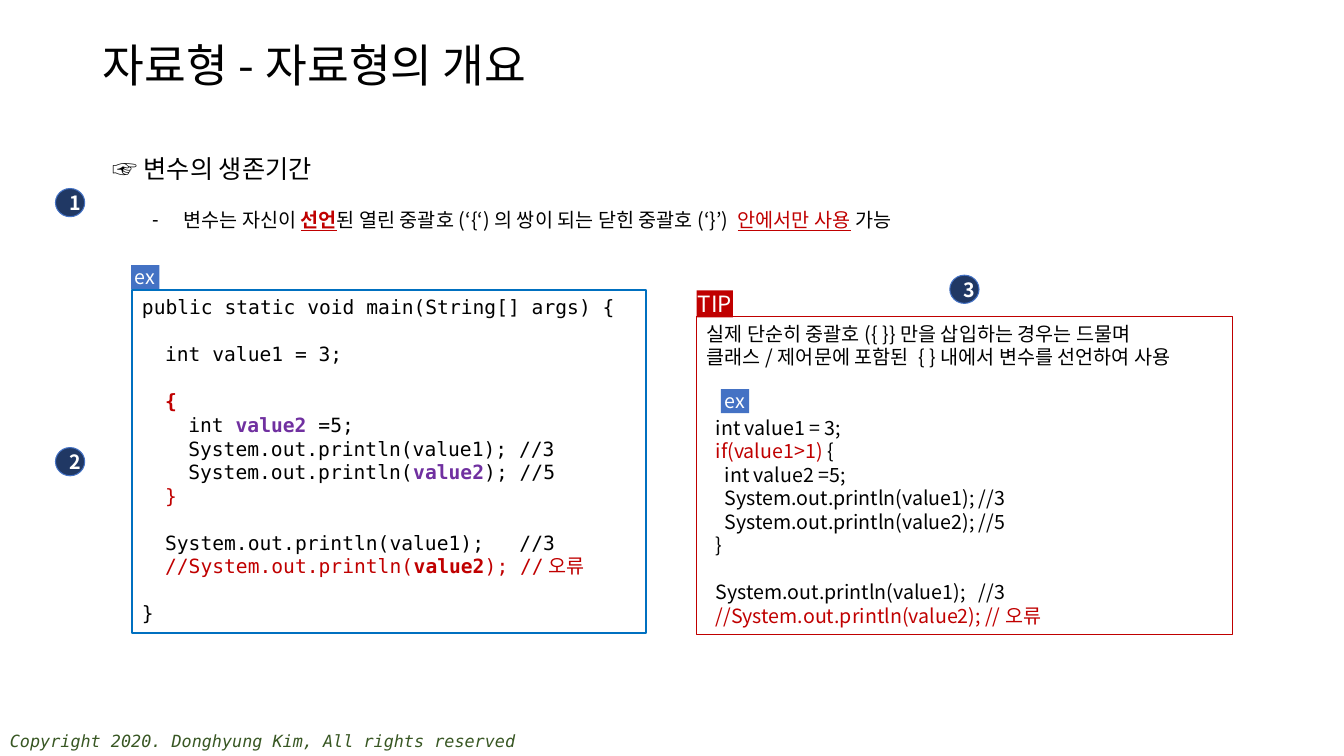
import pptx
import pptx.util
import pptx.dml.color
import pptx.enum.shapes
import pptx.enum.text
import pptx.oxml
import pptx.oxml.ns

Inches = pptx.util.Inches
Pt = pptx.util.Pt
RGBColor = pptx.dml.color.RGBColor
Shape = pptx.enum.shapes.MSO_SHAPE
Align = pptx.enum.text.PP_ALIGN
Anchor = pptx.enum.text.MSO_ANCHOR

BLACK = RGBColor(0x00, 0x00, 0x00)
WHITE = RGBColor(0xFF, 0xFF, 0xFF)
RED = RGBColor(0xC0, 0x00, 0x00)
PURPLE = RGBColor(0x70, 0x30, 0xA0)
BLUE = RGBColor(0x44, 0x72, 0xC4)
FRAME_BLUE = RGBColor(0x00, 0x70, 0xC0)
NAVY = RGBColor(0x20, 0x38, 0x64)
GREEN = RGBColor(0x38, 0x57, 0x23)
SANS = "Noto Sans CJK KR"
MONO = "DejaVu Sans Mono"
LINE_RATIO = 1.2

VALUE2 = ("value2", {"color": PURPLE, "bold": True})

MAIN_CODE = [
    (0, 0, ["public static void main(String[] args) {"]),
    (1, 1, ["int value1 = 3;"]),
    (1, 1, [("{", {"color": RED, "bold": True})]),
    (2, 0, ["int ", VALUE2, " =5;"]),
    (2, 0, ["System.out.println(value1); //3"]),
    (2, 0, ["System.out.println(", VALUE2, "); //5"]),
    (1, 0, [("}", {"color": RED})]),
    (1, 1, ["System.out.println(value1);   //3"]),
    (1, 0, [("//System.out.println(", {"color": RED}),
            ("value2", {"color": RED, "bold": True}),
            ("); //오류", {"color": RED})]),
    (0, 1, ["}"]),
]

TIP_LINES = [
    (0, 0, ["실제 단순히 중괄호({ }}만을 삽입하는 경우는 드물며"]),
    (0, 0, ["클래스/제어문에 포함된 { }내에서 변수를 선언하여 사용"]),
    (1, 2, ["int value1 = 3;"]),
    (1, 0, [("if(value1>1) ", {"color": RED}), "{"]),
    (2, 0, ["int value2 =5;"]),
    (2, 0, ["System.out.println(value1); //3"]),
    (2, 0, ["System.out.println(value2); //5"]),
    (1, 0, ["}"]),
    (1, 1, ["System.out.println(value1);   //3"]),
    (1, 0, [("//System.out.println(value2); //오류", {"color": RED})]),
]

SCOPE_RULE = [
    "변수는 자신이 ",
    ("선언", {"color": RED, "bold": True, "underline": True}),
    "된 열린 중괄호(‘{‘)의 쌍이 되는 닫힌 중괄호(‘}’) ",
    ("안에서만 사용", {"color": RED, "underline": True}),
    " 가능",
]


def add_span(para, text, font=SANS, size=14, color=BLACK, bold=False,
             italic=False, underline=False):
    span = para.add_run()
    span.text = text
    span.font.name = font
    span.font.size = Pt(size)
    span.font.color.rgb = color
    span.font.bold = bold
    span.font.italic = italic
    span.font.underline = underline
    east_asian = pptx.oxml.parse_xml(
        f'<a:ea {pptx.oxml.ns.nsdecls("a")} typeface="{SANS}"/>')
    span.font._element.find(pptx.oxml.ns.qn("a:latin")).addnext(east_asian)


def write_line(para, parts, align=Align.LEFT, gap=0, spacing=None, size=14, **style):
    para.alignment = align
    para.line_spacing = spacing or Pt(size * LINE_RATIO)
    para.space_before = Pt(gap * size * LINE_RATIO)
    for part in parts:
        text, changes = (part, {}) if isinstance(part, str) else part
        add_span(para, text, **{"size": size, **style, **changes})


def indent(para, left, hanging=0):
    properties = para._p.get_or_add_pPr()
    properties.set("marL", str(Inches(left)))
    properties.set("indent", str(Inches(-hanging)))


def add_dash(para):
    para._p.get_or_add_pPr().append(pptx.oxml.parse_xml(
        f'<a:buChar {pptx.oxml.ns.nsdecls("a")} char="-"/>'))


def place(box, left, top, width, height):
    box.left, box.top = Inches(left), Inches(top)
    box.width, box.height = Inches(width), Inches(height)


def add_text(page, position, text, **style):
    box = page.shapes.add_textbox(*map(Inches, position))
    box.text_frame.word_wrap = True
    write_line(box.text_frame.paragraphs[0], [text], **style)


def add_box(page, kind, position, fill=None, line=None, weight=0.75):
    box = page.shapes.add_shape(kind, *map(Inches, position))
    box.shadow.inherit = False
    if fill is None:
        box.fill.background()
    else:
        box.fill.solid()
        box.fill.fore_color.rgb = fill
    if line is None:
        box.line.fill.background()
    else:
        box.line.color.rgb = line
        box.line.width = Pt(weight)
    return box


def add_tag(page, position, text, fill, size=14):
    frame = add_box(page, Shape.RECTANGLE, position, fill=fill).text_frame
    frame.margin_left = frame.margin_right = 0
    frame.margin_top = frame.margin_bottom = 0
    frame.word_wrap = False
    frame.vertical_anchor = Anchor.TOP
    write_line(frame.paragraphs[0], [text], align=Align.CENTER, size=size, color=WHITE)


def add_panel(page, position, lines, step, line, weight, font):
    frame = add_box(page, Shape.RECTANGLE, position, line=line, weight=weight).text_frame
    frame.word_wrap = True
    frame.vertical_anchor = Anchor.TOP
    for number, (level, gap, parts) in enumerate(lines):
        para = frame.add_paragraph() if number else frame.paragraphs[0]
        write_line(para, parts, gap=gap, font=font)
        indent(para, level * step)


def add_badge(page, left, top, number):
    badge = add_box(page, Shape.OVAL, (left, top, 0.29, 0.28), fill=NAVY, line=BLUE)
    badge.text_frame.vertical_anchor = Anchor.MIDDLE
    write_line(badge.text_frame.paragraphs[0], [str(number)],
               align=Align.CENTER, color=WHITE, bold=True)


def fill_title(page, text):
    title = page.shapes.title
    place(title, 0.92, 0.4, 11.5, 0.54)
    title.text_frame.vertical_anchor = Anchor.MIDDLE
    write_line(title.text_frame.paragraphs[0], [text], size=32.4, spacing=0.9)


def fill_body(page, parts):
    body = page.placeholders[1]
    place(body, 1.41, 2.01, 8.09, 0.34)
    body.text_frame.word_wrap = False
    body.text_frame.vertical_anchor = Anchor.TOP
    para = body.text_frame.paragraphs[0]
    write_line(para, parts)
    indent(para, 0.31, hanging=0.31)
    add_dash(para)


def main():
    deck = pptx.Presentation()
    deck.slide_width, deck.slide_height = Inches(13.33), Inches(7.5)
    page = deck.slides.add_slide(deck.slide_layouts[1])

    fill_title(page, "자료형-자료형의 개요")
    fill_body(page, SCOPE_RULE)
    add_text(page, (0, 7.2, 7.19, 0.3), "Copyright 2020. Donghyung Kim, All rights reserved",
             font=MONO, size=12, color=GREEN, italic=True)
    add_text(page, (1.02, 1.47, 4.51, 0.4), "☞ 변수의 생존기간", size=18)

    add_tag(page, (1.3, 2.63, 0.28, 0.24), "ex", BLUE)
    add_panel(page, (1.31, 2.88, 5.1, 3.4), MAIN_CODE, 0.23, FRAME_BLUE, 1.25, MONO)
    add_panel(page, (6.91, 3.14, 5.31, 3.16), TIP_LINES, 0.09, RED, 0.75, SANS)
    add_tag(page, (6.91, 2.88, 0.36, 0.27), "TIP", RED, size=16)
    add_tag(page, (7.15, 3.86, 0.28, 0.24), "ex", BLUE)

    for number, (left, top) in enumerate([(0.55, 1.87), (0.55, 4.44), (9.42, 2.73)], 1):
        add_badge(page, left, top, number)

    deck.save("out.pptx")


main()
